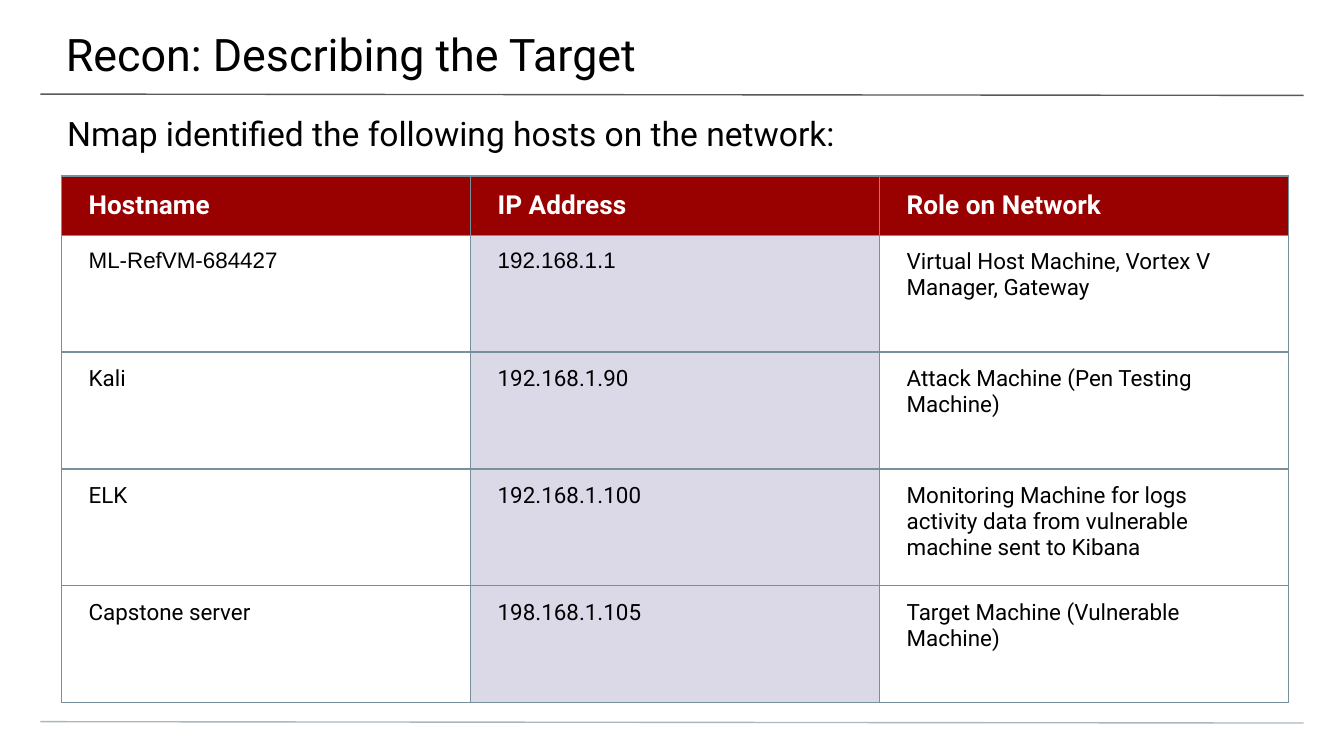
"""Build the slide that lists the hosts found on the network."""
import pptx
import pptx.dml.color
import pptx.enum.shapes
import pptx.enum.text
import pptx.oxml
import pptx.oxml.ns
import pptx.util

Inches = pptx.util.Inches
Pt = pptx.util.Pt
Anchor = pptx.enum.text.MSO_ANCHOR

HEAD = ["Hostname", "IP Address", "Role on Network"]
HOSTS = [
    ["ML-RefVM-684427", "192.168.1.1", "Virtual Host Machine, Vortex V Manager, Gateway"],
    ["Kali", "192.168.1.90", "Attack Machine (Pen Testing Machine)"],
    ["ELK", "192.168.1.100", "Monitoring Machine for logs activity data from vulnerable machine sent to Kibana"],
    ["Capstone server", "198.168.1.105", "Target Machine (Vulnerable Machine)"],
]


def color(code):
    return pptx.dml.color.RGBColor.from_string(code)


class Page:
    font = "Roboto"
    ink = "000000"
    white = "FFFFFF"
    red = "990000"
    lilac = "DBD9E8"
    edge = "78909C"

    def __init__(self, slide):
        self.slide = slide

    def style(self, frame, size, ink=ink, bold=False, font=font):
        for run in frame.paragraphs[0].runs:
            run.font.name = font
            run.font.size = Pt(size)
            run.font.bold = bold
            run.font.color.rgb = color(ink)

    def inset(self, item, left, top, right, bottom):
        item.margin_left, item.margin_top = Inches(left), Inches(top)
        item.margin_right, item.margin_bottom = Inches(right), Inches(bottom)

    def text(self, words, place, pads, size):
        frame = self.slide.shapes.add_textbox(*map(Inches, place)).text_frame
        frame.word_wrap = True
        frame.vertical_anchor = Anchor.TOP
        self.inset(frame, *pads)
        frame.text = words
        self.style(frame, size)

    def rule(self, top, ink):
        kind = pptx.enum.shapes.MSO_CONNECTOR.STRAIGHT
        ends = map(Inches, (0.3, top, 9.7, top + 0.01))
        line = self.slide.shapes.add_connector(kind, *ends)
        line.line.color.rgb = color(ink)
        line.line.width = Pt(0.75)
        props = line._element.spPr
        props.append(pptx.oxml.parse_xml(f'<a:effectLst {pptx.oxml.ns.nsdecls("a")}/>'))

    def border(self, cell):
        props = cell._tc.get_or_add_tcPr()
        for spot, side in enumerate(("lnL", "lnR", "lnT", "lnB")):
            props.insert(spot, pptx.oxml.parse_xml(
                f'<a:{side} {pptx.oxml.ns.nsdecls("a")} w="{Pt(0.75)}"><a:solidFill>'
                f'<a:srgbClr val="{self.edge}"/></a:solidFill></a:{side}>'))

    def cell(self, cell, words, fill, **look):
        cell.text = words
        self.inset(cell, 0.2, 0.1, 0.2, 0.1)
        if fill:
            cell.fill.solid()
            cell.fill.fore_color.rgb = color(fill)
        else:
            cell.fill.background()
        self.border(cell)
        self.style(cell.text_frame, **look)

    def table(self, head, rows, place):
        shape = self.slide.shapes.add_table(len(rows) + 1, len(head), *map(Inches, place))
        grid = shape.table
        grid.first_row = grid.horz_banding = False
        for col in grid.columns:
            col.width = Inches(place[2] / len(head))
        for row in grid.rows:
            row.height = Inches(0.87)
        grid.rows[0].height = Inches(0.44)
        for c, words in enumerate(head):
            self.cell(grid.cell(0, c), words, self.red, size=14, ink=self.white, bold=True)
            grid.cell(0, c).vertical_anchor = Anchor.MIDDLE
        for r, row in enumerate(rows, 1):
            for c, words in enumerate(row):
                font = "Arial" if r == 1 and c < 2 else self.font
                fill = self.lilac if c == 1 else None
                self.cell(grid.cell(r, c), words, fill, size=12, font=font)


def main():
    deck = pptx.Presentation()
    deck.slide_width = Inches(10)
    deck.slide_height = deck.slide_width * 9 // 16
    page = Page(deck.slides.add_slide(deck.slide_layouts[6]))
    page.rule(0.7, "595959")
    page.rule(5.37, "A9B7C0")
    page.text("Recon: Describing the Target", (-0.01, 0, 10.03, 0.58), (0.5, 0.2, 0.3, 0.1), 24)
    page.text("Nmap identified the following hosts on the network:",
              (0, 0.74, 10, 0.4), (0.5, 0.1, 0.5, 0), 18)
    page.table(HEAD, HOSTS, (0.46, 1.31, 9.13, 3.91))
    deck.save("out.pptx")


if __name__ == "__main__":
    main()
